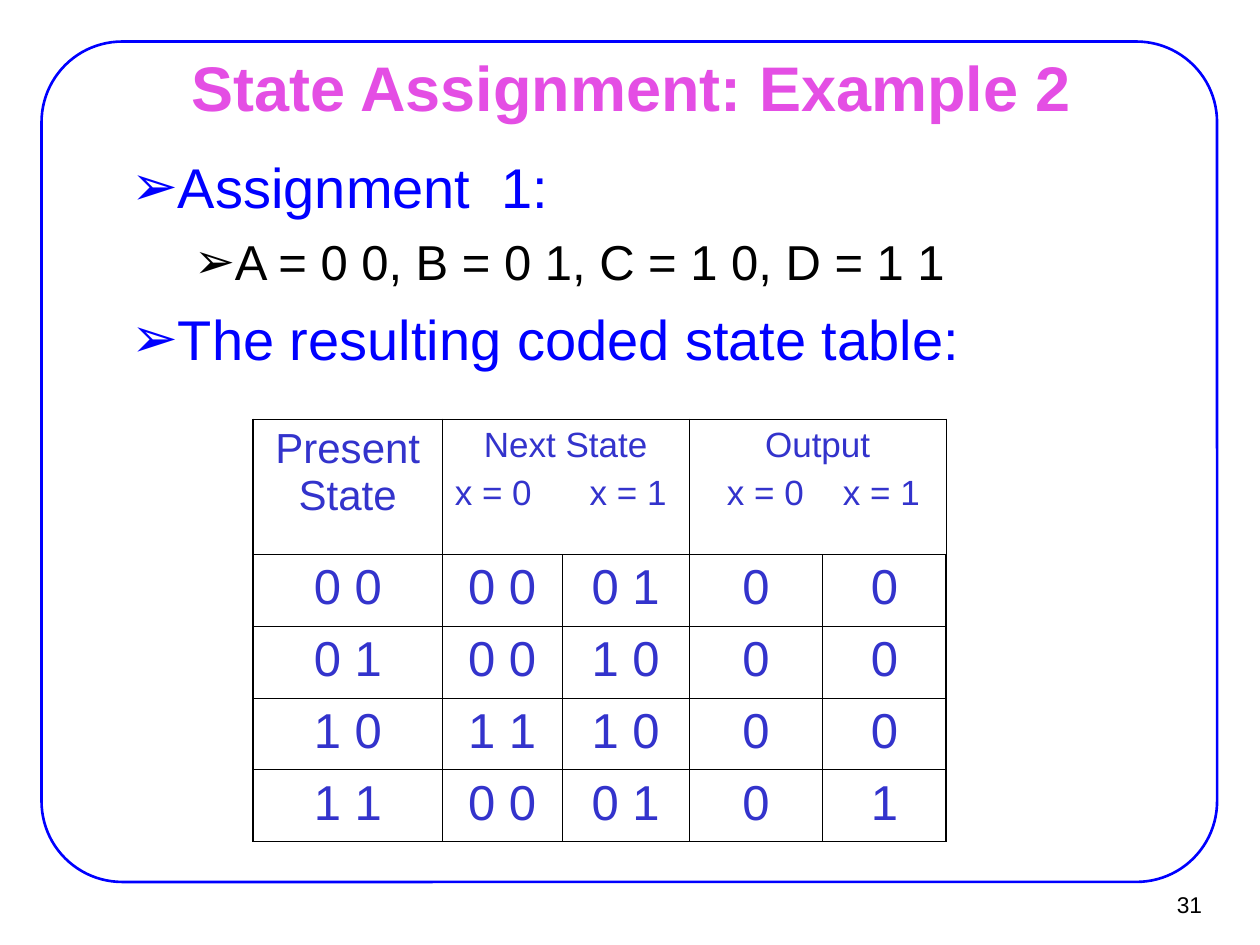
from typing import NamedTuple

from lxml.etree import SubElement
from pptx import Presentation
from pptx.dml.color import RGBColor
from pptx.enum.shapes import MSO_SHAPE
from pptx.enum.text import MSO_ANCHOR, MSO_AUTO_SIZE, PP_ALIGN
from pptx.oxml.ns import qn
from pptx.util import Inches, Pt

BLUE = RGBColor(0x00, 0x00, 0xFF)
PINK = RGBColor(0xE4, 0x4E, 0xE4)
INDIGO = RGBColor(0x33, 0x33, 0xCC)
BLACK = RGBColor(0x00, 0x00, 0x00)
FONT = "Arial"
THIN, THICK = Pt(0.45), Pt(1.08)


class Bullet(NamedTuple):
    text: str
    level: int


class BulletStyle(NamedTuple):
    margin: float
    indent: float
    size: int
    space_before: int
    color: RGBColor


class Header(NamedTuple):
    column: int
    span: int
    size: int
    space_before: int
    lines: list[str]
    tabs: list[float]


LEVELS = [BulletStyle(0.81, -0.31, 32, 8, BLUE),
          BulletStyle(1.25, -0.25, 28, 7, BLACK)]
BULLETS = [Bullet("Assignment  1:", 0),
           Bullet("A = 0 0, B = 0 1, C = 1 0, D = 1 1", 1),
           Bullet("The resulting coded state table:", 0)]
HEADERS = [Header(0, 1, 24, 6, ["Present State"], []),
           Header(1, 2, 20, 5, ["Next State", "x = 0\tx = 1"], [1.07]),
           Header(3, 2, 20, 5, ["Output", "\tx = 0\tx = 1"], [0.2, 1.12])]
STATES = [["0 0", "0 0", "0 1", "0", "0"],
          ["0 1", "0 0", "1 0", "0", "0"],
          ["1 0", "1 1", "1 0", "0", "0"],
          ["1 1", "0 0", "0 1", "0", "1"]]
COLUMN_WIDTHS = [1.5, 0.95, 1.01, 1.06, 0.98]
ROW_HEIGHTS = [1.07] + [0.57] * len(STATES)


def place(shape, left: float, top: float, width: float, height: float) -> None:
    shape.left, shape.top = Inches(left), Inches(top)
    shape.width, shape.height = Inches(width), Inches(height)


def set_insets(frame, side: float, end: float) -> None:
    frame.margin_left = frame.margin_right = Inches(side)
    frame.margin_top = frame.margin_bottom = Inches(end)


def style(paragraph, size: float, color: RGBColor, align=PP_ALIGN.LEFT,
          space_before: float = 0, bold: bool = False) -> None:
    paragraph.alignment = align
    paragraph.space_before = Pt(space_before)
    for run in paragraph.runs:
        run.font.name, run.font.size, run.font.bold = FONT, Pt(size), bold
        run.font.color.rgb = color


def add_arrow_bullet(paragraph, look: BulletStyle) -> None:
    props = paragraph._p.get_or_add_pPr()
    props.set("marL", str(Inches(look.margin)))
    props.set("indent", str(Inches(look.indent)))
    bullet_color = SubElement(props, qn("a:buClr"))
    SubElement(bullet_color, qn("a:srgbClr"), val=str(look.color))
    SubElement(props, qn("a:buFont"), typeface=FONT)
    SubElement(props, qn("a:buChar"), char="➢")


def add_tab_stops(paragraph, stops: list[float]) -> None:
    tab_list = SubElement(paragraph._p.get_or_add_pPr(), qn("a:tabLst"))
    for stop in stops:
        SubElement(tab_list, qn("a:tab"), pos=str(Inches(stop)), algn="l")


def set_borders(cell, row: int, column: int) -> None:
    """Rule the cell thinly, and thickly where it meets the table's edge."""
    on_edge = {"a:lnL": column == 0,
               "a:lnR": column == len(COLUMN_WIDTHS) - 1,
               "a:lnT": row == 0,
               "a:lnB": row == len(ROW_HEIGHTS) - 1}
    props = cell._tc.get_or_add_tcPr()
    for tag, outer in on_edge.items():
        line = SubElement(props, qn(tag), w=str(THICK if outer else THIN))
        fill = SubElement(line, qn("a:solidFill"))
        SubElement(fill, qn("a:srgbClr"), val=str(BLACK))


def add_frame(slide) -> None:
    frame = slide.shapes.add_shape(MSO_SHAPE.ROUNDED_RECTANGLE, Inches(0.33),
                                   Inches(0.33), Inches(9.33), Inches(6.67))
    frame.adjustments[0] = 0.096
    frame.shadow.inherit = False
    frame.fill.background()
    frame.line.color.rgb = BLUE
    frame.line.width = Pt(1.5)
    slide.shapes._spTree.insert(2, frame._element)


def add_page_number(slide) -> None:
    number = slide.shapes.add_textbox(Inches(9.02), Inches(6.99),
                                      Inches(0.61), Inches(0.37)).text_frame
    set_insets(number, 0.09, 0.04)
    number.word_wrap = False
    number.vertical_anchor = MSO_ANCHOR.MIDDLE
    number.text = "31"
    style(number.paragraphs[0], 13, BLACK, PP_ALIGN.RIGHT)


def fill_title(title) -> None:
    place(title, 0.76, 0.44, 8.5, 0.49)
    heading = title.text_frame
    heading.text = "State Assignment: Example 2"
    heading.auto_size = MSO_AUTO_SIZE.NONE
    heading.vertical_anchor = MSO_ANCHOR.MIDDLE
    set_insets(heading, 0.11, 0.06)
    style(heading.paragraphs[0], 36, PINK, PP_ALIGN.CENTER, bold=True)


def fill_body(body) -> None:
    place(body, 0.43, 1.15, 8.5, 1.84)
    points = body.text_frame
    points.text = "\n".join(bullet.text for bullet in BULLETS)
    points.auto_size = MSO_AUTO_SIZE.NONE
    set_insets(points, 0.11, 0.06)
    for paragraph, bullet in zip(points.paragraphs, BULLETS):
        look = LEVELS[bullet.level]
        paragraph.level = bullet.level
        style(paragraph, look.size, look.color, space_before=look.space_before)
        add_arrow_bullet(paragraph, look)


def add_state_table(slide) -> None:
    table = slide.shapes.add_table(
        len(ROW_HEIGHTS), len(COLUMN_WIDTHS), Inches(2.01), Inches(3.33),
        Inches(sum(COLUMN_WIDTHS)), Inches(sum(ROW_HEIGHTS))).table
    table.first_row = table.horz_banding = False
    for column, width in zip(table.columns, COLUMN_WIDTHS):
        column.width = Inches(width)
    for row, height in enumerate(ROW_HEIGHTS):
        table.rows[row].height = Inches(height)
        for column in range(len(COLUMN_WIDTHS)):
            cell = table.cell(row, column)
            set_insets(cell, 0.1, 0.05)
            set_borders(cell, row, column)
            cell.fill.background()
    for header in HEADERS:
        cell = table.cell(0, header.column)
        if header.span > 1:
            cell.merge(table.cell(0, header.column + header.span - 1))
        cell.text = "\n".join(header.lines)
        for paragraph, line in zip(cell.text_frame.paragraphs, header.lines):
            tabbed = "\t" in line
            style(paragraph, header.size, INDIGO,
                  PP_ALIGN.LEFT if tabbed else PP_ALIGN.CENTER, header.space_before)
            if tabbed:
                add_tab_stops(paragraph, header.tabs)
    for row, codes in enumerate(STATES, start=1):
        for column, code in enumerate(codes):
            cell = table.cell(row, column)
            cell.text = code
            style(cell.text_frame.paragraphs[0], 28, INDIGO, PP_ALIGN.CENTER, 7)


def main() -> None:
    deck = Presentation()
    deck.slide_width, deck.slide_height = Inches(10), Inches(7.5)
    slide = deck.slides.add_slide(deck.slide_layouts[1])
    add_frame(slide)
    add_page_number(slide)
    fill_title(slide.shapes.title)
    fill_body(slide.placeholders[1])
    add_state_table(slide)
    deck.save("out.pptx")


if __name__ == "__main__":
    main()
